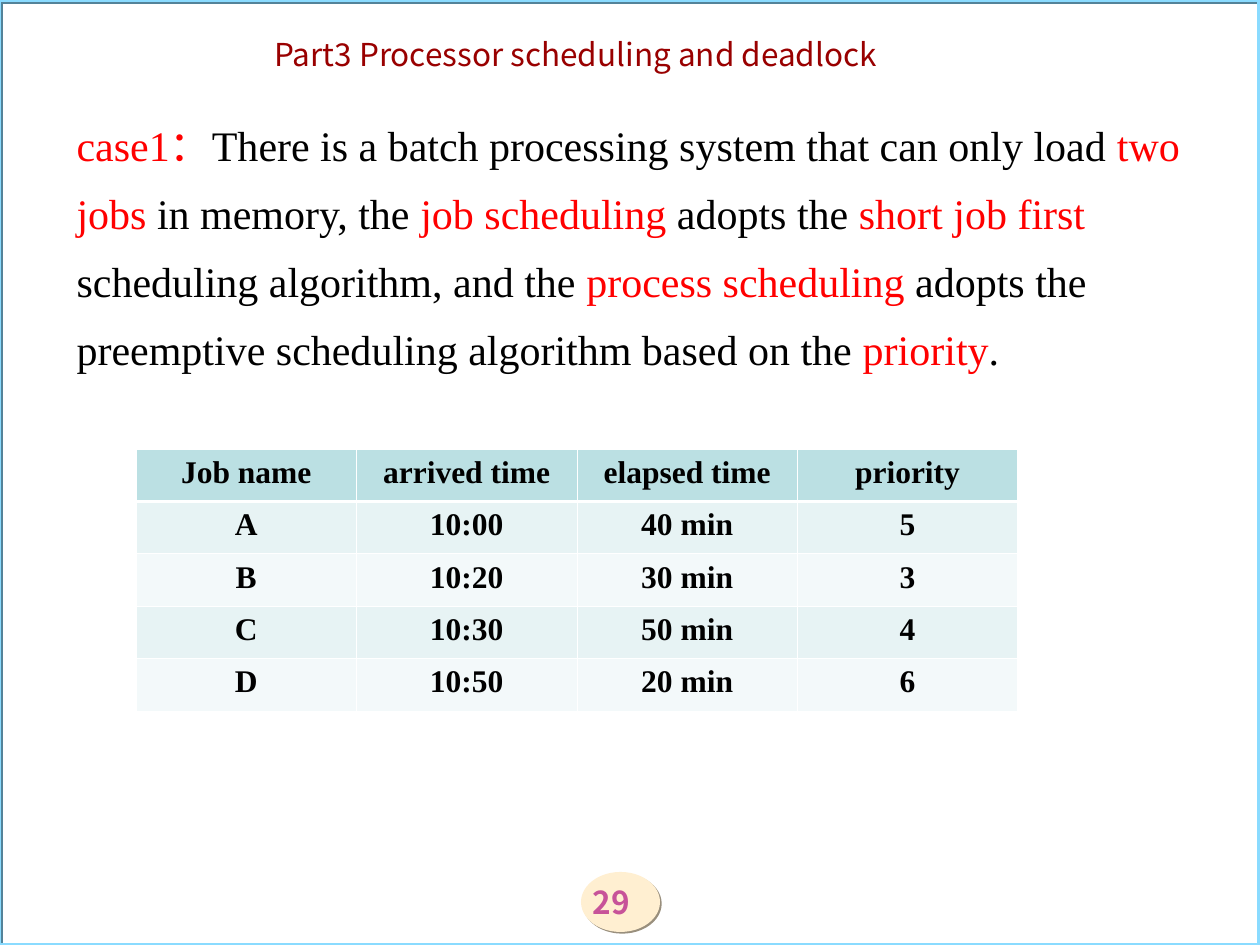
from lxml import etree
from pptx import Presentation
from pptx.dml.color import RGBColor
from pptx.enum.shapes import MSO_SHAPE
from pptx.enum.text import MSO_ANCHOR, MSO_AUTO_SIZE, PP_ALIGN
from pptx.oxml import parse_xml
from pptx.oxml.ns import nsdecls, qn
from pptx.util import Pt

OVAL, RECTANGLE = MSO_SHAPE.OVAL, MSO_SHAPE.RECTANGLE
TOP, MIDDLE = MSO_ANCHOR.TOP, MSO_ANCHOR.MIDDLE
LEFT, CENTER = PP_ALIGN.LEFT, PP_ALIGN.CENTER
NO_AUTOFIT = MSO_AUTO_SIZE.NONE

PX = 914400 // 126
WHITE = RGBColor(255, 255, 255)
BLACK = RGBColor(0, 0, 0)
RED = RGBColor(255, 0, 0)
DARK_RED = RGBColor(0x99, 0, 0)
PINK = RGBColor(0xC7, 0x53, 0x99)
CREAM = RGBColor(0xFF, 0xEF, 0xD1)
CREAM_SHADOW = RGBColor(0x99, 0x8F, 0x7D)
SKY = RGBColor(0x8A, 0xDB, 0xFF)
SKY_SHADOW = RGBColor(0x53, 0x83, 0x99)
HEADER_FILL = RGBColor(0xBB, 0xE0, 0xE3)
ODD_FILL = RGBColor(0xE7, 0xF3, 0xF4)
EVEN_FILL = RGBColor(0xF3, 0xF9, 0xFA)
SERIF = "Times New Roman"


def add_shadow(shape, color):
    shape.shadow.inherit = False
    effects = shape._element.spPr.find(qn("a:effectLst"))
    effects.append(parse_xml(
        f'<a:outerShdw {nsdecls("a")} dist="17780" dir="2700000" algn="ctr" rotWithShape="0">'
        f'<a:srgbClr val="{color}"/></a:outerShdw>'))


def set_font(font, name, size, color, bold=False):
    font.name = name
    font.size = Pt(size)
    font.color.rgb = color
    font.bold = bold


deck = Presentation()
deck.slide_width, deck.slide_height = 1260 * PX, 945 * PX
page = deck.slides.add_slide(deck.slide_layouts[5])
shapes = page.shapes
page.background.fill.solid()
page.background.fill.fore_color.rgb = WHITE

badge = shapes.add_shape(OVAL, 581 * PX, 872 * PX, 79 * PX, 60 * PX)
badge.fill.solid()
badge.fill.fore_color.rgb = CREAM
badge.line.fill.background()
add_shadow(badge, CREAM_SHADOW)
frame = badge.text_frame
frame.margin_left = frame.margin_right = frame.margin_top = frame.margin_bottom = 0
frame.vertical_anchor = MIDDLE
para = frame.paragraphs[0]
para.text = "29"
para.alignment = LEFT
set_font(para.font, "Noto Sans CJK SC", 18, PINK, True)

border = shapes.add_shape(RECTANGLE, -1 * PX, 0, 1260 * PX, 945 * PX)
border.fill.background()
border.line.color.rgb = SKY
border.line.width = Pt(2.25)
add_shadow(border, SKY_SHADOW)

heading = shapes.add_textbox(262 * PX, 29 * PX, 704 * PX, 88 * PX)
heading.text_frame.word_wrap = True
para = heading.text_frame.paragraphs[0]
para.text = "Part3 Processor scheduling and deadlock"
set_font(para.font, "Noto Sans CJK JP", 18, DARK_RED)

case = shapes.title
case.left, case.top, case.width, case.height = 64 * PX, 96 * PX, 1132 * PX, 764 * PX
shapes._spTree.append(case._element)
case.text_frame.vertical_anchor = TOP
case.text_frame.auto_size = NO_AUTOFIT
case.text_frame.word_wrap = True
para = case.text_frame.paragraphs[0]
para.alignment = LEFT
para.line_spacing = 1.35
set_font(para.font, SERIF, 24, BLACK)
case_spans = [
    ("case1：", RED),
    ("There is a batch processing system that can only load ", BLACK),
    ("two jobs", RED),
    (" in memory, the ", BLACK),
    ("job scheduling", RED),
    (" adopts the", BLACK),
    (" short job first", RED),
    (" scheduling algorithm, and the ", BLACK),
    ("process scheduling", RED),
    (" adopts the preemptive scheduling algorithm based on the ", BLACK),
    ("priority", RED),
    (".", BLACK),
]
for text, color in case_spans:
    span = para.add_run()
    span.text = text
    span.font.color.rgb = color

jobs = [
    ("Job name", "arrived time", "elapsed time", "priority"),
    ("A", "10:00", "40 min", "5"),
    ("B", "10:20", "30 min", "3"),
    ("C", "10:30", "50 min", "4"),
    ("D", "10:50", "20 min", "6"),
]
table = shapes.add_table(5, 4, 136 * PX, 449 * PX, 882 * PX, 262 * PX).table
for row_index, job in enumerate(jobs):
    fill = HEADER_FILL if row_index == 0 else ODD_FILL if row_index % 2 else EVEN_FILL
    widths = {"lnL": 0.45, "lnR": 0.45,
              "lnT": 1.47 if row_index == 1 else 0.45,
              "lnB": 1.47 if row_index == 0 else 0.45}
    for column_index, text in enumerate(job):
        cell = table.cell(row_index, column_index)
        properties = cell._tc.get_or_add_tcPr()
        for side, width in widths.items():
            edge = etree.SubElement(properties, qn(f"a:{side}"), w=str(Pt(width)))
            paint = etree.SubElement(edge, qn("a:solidFill"))
            etree.SubElement(paint, qn("a:srgbClr"), val=str(WHITE))
        cell.fill.solid()
        cell.fill.fore_color.rgb = fill
        para = cell.text_frame.paragraphs[0]
        para.text = text
        para.alignment = CENTER
        set_font(para.font, SERIF, 18, BLACK, True)

deck.save("out.pptx")
